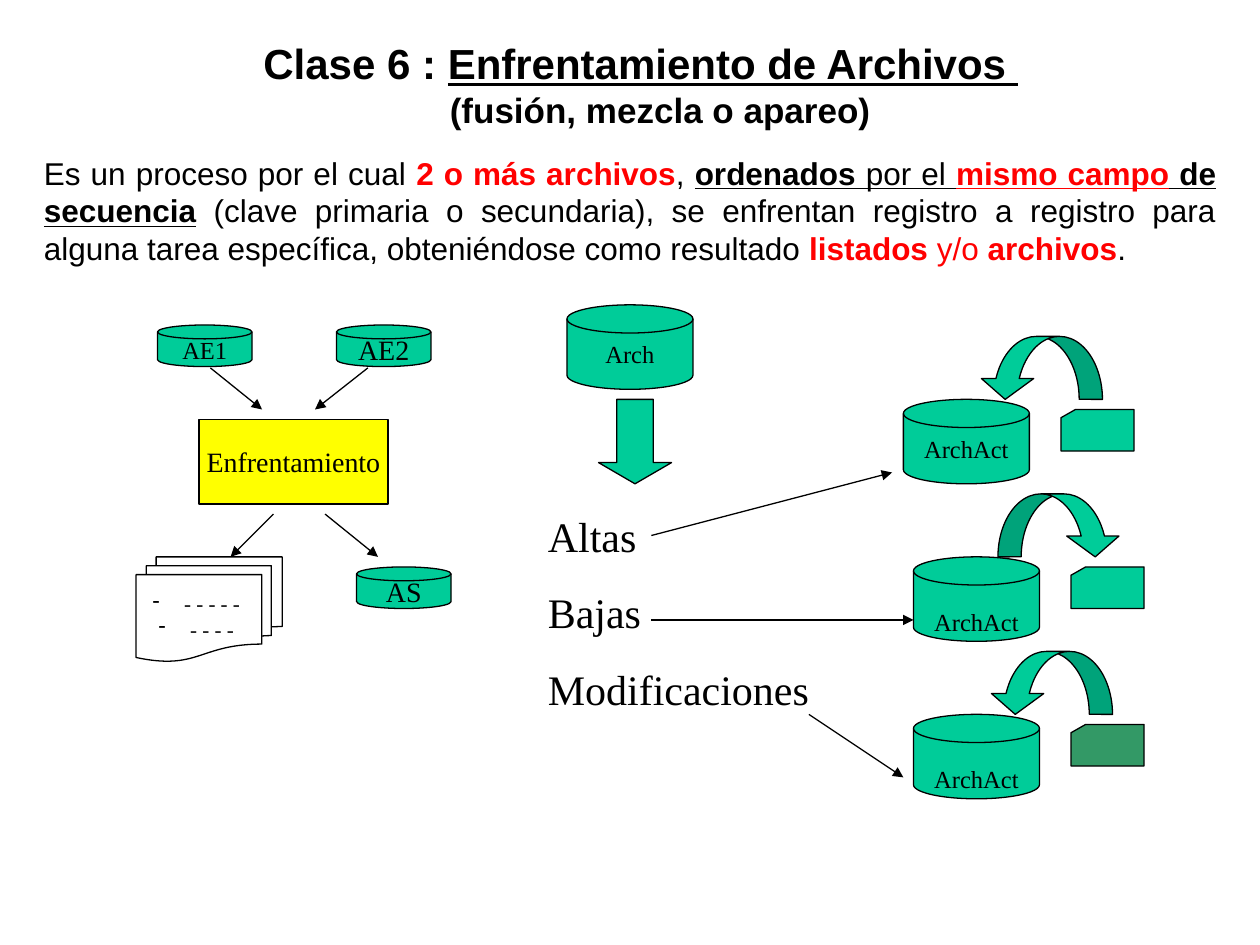
from lxml import etree
from pptx import Presentation
from pptx.dml.color import RGBColor
from pptx.enum.shapes import MSO_CONNECTOR, MSO_SHAPE
from pptx.enum.text import MSO_ANCHOR, MSO_AUTO_SIZE, PP_ALIGN
from pptx.oxml.ns import qn
from pptx.util import Inches, Pt

BLACK = RGBColor(0, 0, 0)
WHITE = RGBColor(255, 255, 255)
RED = RGBColor(255, 0, 0)
YELLOW = RGBColor(255, 255, 0)
GREEN = RGBColor(0, 0xCC, 0x99)
DARK_GREEN = RGBColor(0x33, 0x99, 0x66)
SANS, SERIF = "Arial", "Times New Roman"
DISK = MSO_SHAPE.FLOWCHART_MAGNETIC_DISK
CARD = MSO_SHAPE.FLOWCHART_CARD
PAGES = MSO_SHAPE.FLOWCHART_MULTIDOCUMENT
PROCESS = MSO_SHAPE.FLOWCHART_PROCESS
CURVED_ARROW = MSO_SHAPE.CURVED_DOWN_ARROW
DOWN_ARROW = MSO_SHAPE.DOWN_ARROW
STRAIGHT = MSO_CONNECTOR.STRAIGHT
CENTER, JUSTIFY, LEFT = PP_ALIGN.CENTER, PP_ALIGN.JUSTIFY, PP_ALIGN.LEFT

# Each run: text, colour, bold, underline
TITLE = [
    (24, [("Clase 6 : ", BLACK, True, False),
          ("Enfrentamiento de Archivos ", BLACK, True, True)]),
    (20, [("(fusión, mezcla o apareo)", BLACK, True, False)]),
]
DEFINITION = [
    ("Es un proceso por el cual ", BLACK, False, False),
    ("2 o más archivos", RED, True, False),
    (", ", BLACK, False, False),
    ("ordenados", BLACK, True, True),
    (" por el ", BLACK, False, True),
    ("mismo campo", RED, True, True),
    (" de secuencia", BLACK, True, True),
    (" (clave primaria o secundaria), se enfrentan registro a registro para "
     "alguna tarea específica, obteniéndose como resultado ", BLACK, False, False),
    ("listados", RED, True, False),
    (" y/o ", RED, False, False),
    ("archivos", RED, True, False),
    (".", BLACK, False, False),
]
OPERATIONS = ["Altas", "Bajas", "Modificaciones"]
REPORT_LINES = ["- - - - - ", "- - - - "]

SMALL_DISK, LARGE_DISK = (0.75, 0.33), (1, 0.67)
# Label, left, top, size, font size
DISKS = [
    ("AE1", 1.25, 2.58, SMALL_DISK, 14),
    ("AE2", 2.67, 2.58, SMALL_DISK, 16),
    ("AS", 2.83, 4.5, SMALL_DISK, 16),
    ("Arch", 4.5, 2.42, LARGE_DISK, 14),
]
# Updated file: left, top, extra space above its label, card colour, arrow to the file
UPDATES = [
    (7.17, 3.17, 0, GREEN, True),
    (7.25, 4.42, 0.19, GREEN, False),
    (7.25, 5.67, 0.19, DARK_GREEN, True),
]
ARROWS = [
    ((1.67, 2.92), (2.08, 3.25)),
    ((2.92, 2.92), (2.5, 3.25)),
    ((2.58, 4.08), (3, 4.42)),
    ((2.17, 4.08), (1.83, 4.42)),
    ((5.17, 4.25), (7.08, 3.75)),
    ((5.17, 4.92), (7.25, 4.92)),
    ((6.42, 5.67), (7.17, 6.17)),
]


def style_font(font, name, size, color=BLACK, bold=False, underline=False):
    font.name, font.size, font.bold, font.underline = name, Pt(size), bold, underline
    font.color.rgb = color


def add_runs(paragraph, runs, size):
    for text, color, bold, underline in runs:
        run = paragraph.add_run()
        run.text = text
        style_font(run.font, SANS, size, color, bold, underline)


def add_text_box(slide, left, top, width, height):
    box = slide.shapes.add_textbox(*map(Inches, (left, top, width, height)))
    box.text_frame.word_wrap = True
    return box.text_frame


def add_figure(slide, kind, left, top, size, fill=GREEN):
    shape = slide.shapes.add_shape(kind, *map(Inches, (left, top, *size)))
    shape.shadow.inherit = False
    shape.fill.solid()
    shape.fill.fore_color.rgb = fill
    shape.line.color.rgb = BLACK
    shape.line.width = Pt(0.75)
    return shape


def label(shape, lines, size):
    frame = shape.text_frame
    frame.word_wrap = False
    frame.vertical_anchor = MSO_ANCHOR.MIDDLE
    frame.text = "\n".join(lines)
    for paragraph in frame.paragraphs:
        paragraph.alignment = CENTER
        for run in paragraph.runs:
            style_font(run.font, SERIF, size)


def add_dash_bullet(paragraph):
    properties = paragraph._p.get_or_add_pPr()
    properties.set("marL", str(Inches(0.25)))
    properties.set("indent", str(-Inches(0.25)))
    etree.SubElement(properties, qn("a:buChar")).set("char", "-")


def add_arrow(slide, start, end):
    connector = slide.shapes.add_connector(STRAIGHT, *map(Inches, (*start, *end)))
    connector.line.color.rgb = BLACK
    connector.line.width = Pt(0.75)
    line = connector.line._get_or_add_ln()
    etree.SubElement(line, qn("a:tailEnd")).set("type", "triangle")
    etree.SubElement(connector._element.spPr, qn("a:effectLst"))


def add_update(slide, left, top, label_space, card_color, arrow_to_file):
    disk = add_figure(slide, DISK, left, top, LARGE_DISK)
    label(disk, ["ArchAct"], 14)
    if label_space:
        disk.text_frame.margin_top = Inches(0.05 + label_space)
        disk.text_frame.margin_bottom = 0
    add_figure(slide, CARD, left + 1.25, top + 0.08, (0.58, 0.33), card_color)

    arrow_left = left + (0.6 if arrow_to_file else 0.67)
    arrow = add_figure(slide, CURVED_ARROW, arrow_left, top - 0.5, (0.98, 0.5))
    for index, value in enumerate((0.37, 0.83, 0.33)):
        arrow.adjustments[index] = value
    if arrow_to_file:
        arrow._element.spPr.xfrm.set("flipH", "1")


def add_title(slide):
    title = slide.shapes.title
    title.left, title.top, title.width, title.height = map(Inches, (0.42, 0.25, 9.33, 1.34))
    frame = title.text_frame
    frame.word_wrap = True
    frame.auto_size = MSO_AUTO_SIZE.NONE
    frame.vertical_anchor = MSO_ANCHOR.TOP
    frame.add_paragraph()
    for paragraph, (size, runs) in zip(frame.paragraphs, TITLE):
        paragraph.alignment = CENTER
        add_runs(paragraph, runs, size)
    frame.paragraphs[1]._p.get_or_add_pPr().set("marL", str(Inches(0.31)))


def main():
    presentation = Presentation()
    presentation.slide_width, presentation.slide_height = Inches(10), Inches(7.5)
    slide = presentation.slides.add_slide(presentation.slide_layouts[5])
    add_title(slide)

    definition = add_text_box(slide, 0.25, 1.17, 9.5, 1).paragraphs[0]
    definition.alignment = JUSTIFY
    add_runs(definition, DEFINITION, 18)

    for text, left, top, size, font_size in DISKS:
        label(add_figure(slide, DISK, left, top, size), [text], font_size)
    report = add_figure(slide, PAGES, 1.08, 4.42, (1.16, 0.83), WHITE)
    label(report, REPORT_LINES, 12)
    for paragraph in report.text_frame.paragraphs:
        add_dash_bullet(paragraph)
    label(add_figure(slide, PROCESS, 1.58, 3.33, (1.5, 0.67), YELLOW), ["Enfrentamiento"], 16)

    operations = add_text_box(slide, 4.25, 4, 2.33, 1.72)
    operations.text = "\n".join(OPERATIONS)
    for index, paragraph in enumerate(operations.paragraphs):
        paragraph.alignment = LEFT
        paragraph.space_before = Pt(15 if index else 0)
        style_font(paragraph.runs[0].font, SERIF, 24)

    down_arrow = add_figure(slide, DOWN_ARROW, 4.75, 3.17, (0.58, 0.67))
    down_arrow.adjustments[1] = 0.29
    for update in UPDATES:
        add_update(slide, *update)
    for start, end in ARROWS:
        add_arrow(slide, start, end)

    presentation.save("out.pptx")


if __name__ == "__main__":
    main()
